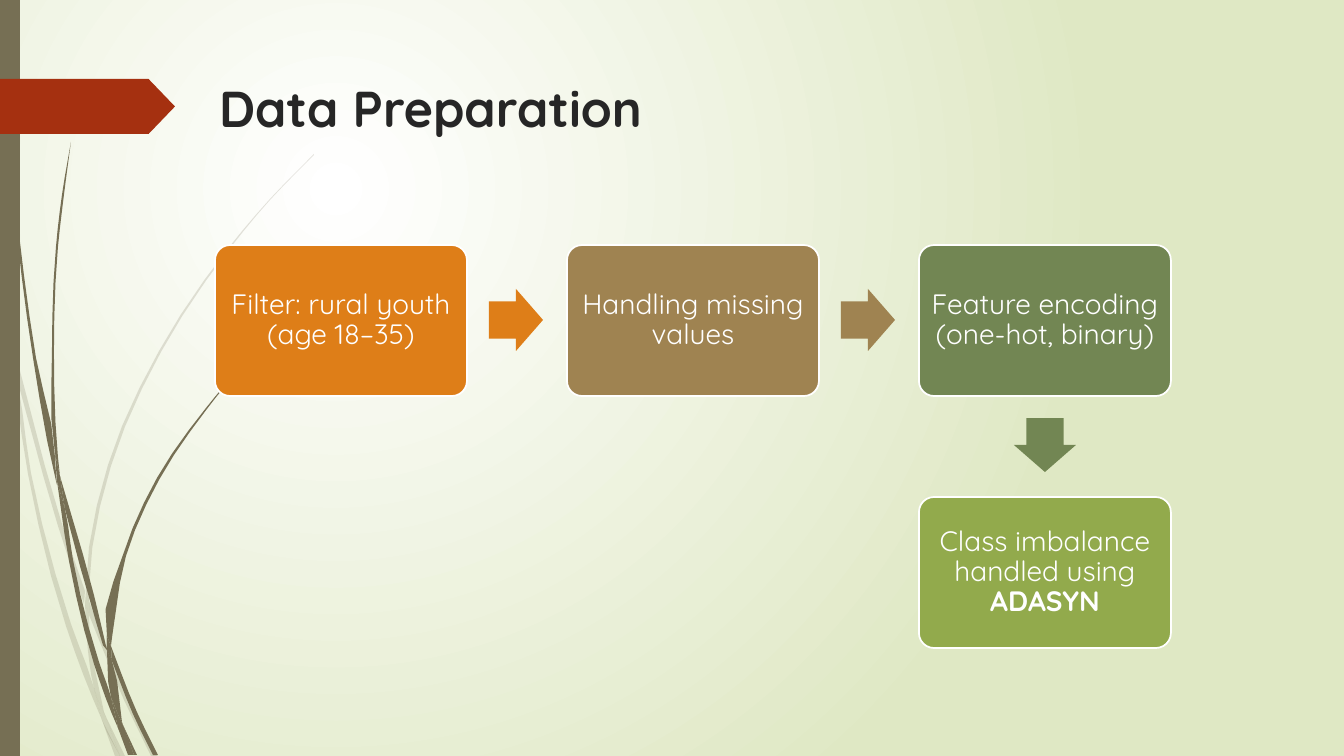
from dataclasses import dataclass

from lxml import etree
from pptx import Presentation
from pptx.dml.color import RGBColor
from pptx.enum.shapes import MSO_SHAPE
from pptx.enum.text import MSO_ANCHOR, MSO_AUTO_SIZE, PP_ALIGN
from pptx.oxml.ns import qn
from pptx.util import Emu, Pt

RECTANGLE = MSO_SHAPE.RECTANGLE
ROUNDED = MSO_SHAPE.ROUNDED_RECTANGLE
BANNER = MSO_SHAPE.PENTAGON
RIGHT_ARROW = MSO_SHAPE.RIGHT_ARROW
DOWN_ARROW = MSO_SHAPE.DOWN_ARROW
TOP, MIDDLE = MSO_ANCHOR.TOP, MSO_ANCHOR.MIDDLE
LEFT, CENTER = PP_ALIGN.LEFT, PP_ALIGN.CENTER
NO_AUTOFIT = MSO_AUTO_SIZE.NONE

EMU_PER_PX = 914400 / 100.8
TITLE_ONLY = 5
CURVE_STEPS = 3
WIDTH, HEIGHT = 1344, 756


@dataclass(frozen=True)
class Theme:
    font: str = "Quicksand"
    title_size: int = 36
    step_size: int = 20
    ink: str = "262626"
    white: str = "FFFFFF"
    backdrop: str = "DFE8C4"
    grass: str = "766F54"
    banner: str = "A53010"
    orange: str = "DE7E18"
    brown: str = "9F8351"
    green: str = "728653"
    lime: str = "92AA4C"


FAINT_BLADES = [
    ([(11, 353), (9, 325), (0, 284)], [(0, 301), (10, 347)]),
    ([(14, 348), (62, 524), (85, 591)], [(84, 604), (58, 526), (17, 379)]),
    ([(89, 601), (93, 612), (128, 698), (157, 756)], [(151, 756), (124, 700), (89, 615)]),
    ([(106, 717), (125, 756)], [(120, 756)]),
    ([(11, 353), (17, 379), (31, 473), (71, 624), (94, 688), (100, 713)],
     [(102, 720), (93, 699), (66, 626), (28, 474), (11, 353)]),
    ([(85, 604), (88, 651), (94, 688), (97, 698), (106, 717)],
     [(104, 712), (92, 651), (89, 615), (89, 613)]),
    ([(89, 601), (89, 589), (111, 466), (161, 352), (231, 247), (270, 200), (314, 155)],
     [(314, 154), (270, 199), (230, 246), (159, 351), (108, 465), (86, 589), (86, 591)]),
    ([(102, 720), (115, 756)], [(120, 756)]),
    ([(89, 613), (89, 601)], [(86, 591), (85, 604)]),
    ([(94, 688), (100, 713), (102, 720), (120, 756)], [(106, 717), (97, 698)]),
]
DARK_BLADES = [
    ([(3, 0), (4, 48), (7, 111), (17, 235), (33, 358), (56, 481), (57, 485)],
     [(55, 461), (55, 457), (36, 358), (19, 234), (8, 110), (5, 48), (4, 0)]),
    ([(60, 476), (94, 595), (107, 650)], [(107, 636), (107, 650), (89, 597), (65, 509)]),
    ([(111, 646), (114, 654), (137, 712), (158, 755)], [(153, 755), (133, 714), (112, 661)]),
    ([(57, 481), (65, 509), (73, 560), (99, 662), (111, 697), (117, 723)],
     [(118, 728), (112, 714), (94, 664), (69, 561), (57, 481)]),
    ([(60, 476), (58, 457), (54, 352), (58, 247), (64, 195), (71, 142)],
     [(71, 142), (62, 195), (56, 247), (52, 352), (55, 453), (60, 476)]),
    ([(123, 725), (137, 755)], [(134, 755)]),
    ([(55, 453), (60, 476)], [(65, 509), (57, 481)]),
    ([(112, 638), (126, 556), (159, 480), (207, 409), (233, 377), (263, 347)],
     [(262, 347), (233, 376), (206, 408), (157, 478), (123, 555), (107, 636), (111, 646)]),
    ([(118, 728), (128, 755)], [(132, 755)]),
    ([(107, 650), (111, 697), (117, 712), (123, 725)], [(122, 722), (112, 661), (110, 656)]),
    ([(107, 636), (111, 646)], [(112, 661), (107, 650)]),
    ([(111, 697), (117, 723), (118, 728), (131, 755)], [(134, 755), (123, 725), (117, 712)]),
]


def px(length):
    """Turn px into EMU."""
    return Emu(round(length * EMU_PER_PX))


def smooth(edge):
    """Return EMU points of a smooth curve through the knots of an edge."""
    knots = [complex(*knot) for knot in edge]
    gaps = [abs(b - a) for a, b in zip(knots, knots[1:])]
    slopes = [(b - a) / gap for a, b, gap in zip(knots, knots[1:], gaps)]
    inner = [(u * h + v * g) / (g + h)
             for u, v, g, h in zip(slopes, slopes[1:], gaps, gaps[1:])]
    tangents = slopes[:1] + inner + slopes[-1:]
    curve = []
    for a, b, gap, u, v in zip(knots, knots[1:], gaps, tangents, tangents[1:]):
        steps = CURVE_STEPS if len(knots) > 2 and gap > 30 else 1
        for t in (step / steps for step in range(steps)):
            bend = t * (1 - t) * gap * (u * (1 - t) - v * t)
            curve.append(a + (b - a) * t * t * (3 - 2 * t) + bend)
    return [(px(point.real), px(point.imag)) for point in [*curve, knots[-1]]]


class Painter:
    """Draws themed elements on the current slide."""

    def __init__(self, theme, slide):
        self.theme = theme
        self.slide = slide

    def background(self):
        """Fill the slide with a glow from its upper left."""
        fill = self.slide.background.fill
        fill.gradient()
        for stop, color in zip(fill.gradient_stops, (self.theme.white, self.theme.backdrop)):
            stop.color.rgb = RGBColor.from_string(color)
        gradient = self.slide.element.find(".//" + qn("a:gradFill"))
        glow = etree.Element(qn("a:path"), path="circle")
        etree.SubElement(glow, qn("a:fillToRect"), l="50000", t="50000", r="100000", b="100000")
        gradient.replace(gradient.find(qn("a:lin")), glow)

    def paint(self, shape, color, outline=None):
        """Give a shape its flat fill and optional outline."""
        shape.shadow.inherit = False
        shape.fill.solid()
        shape.fill.fore_color.rgb = RGBColor.from_string(color)
        if outline:
            shape.line.color.rgb = RGBColor.from_string(outline)
            shape.line.width = Pt(1.25)
        else:
            shape.line.fill.background()

    def blade(self, edges, opacity=100):
        """Draw a blade of grass between two curved edges."""
        start, *rest = [point for edge in edges for point in smooth(edge)]
        outline = self.slide.shapes.build_freeform(*start)
        outline.add_line_segments(rest, close=True)
        blade = outline.convert_to_shape()
        self.paint(blade, self.theme.grass)
        if opacity < 100:
            color = blade.element.spPr.find(".//" + qn("a:srgbClr"))
            etree.SubElement(color, qn("a:alpha"), val=str(opacity * 1000))

    def block(self, preset, box, color, adjustments=(), outline=None):
        """Add a filled preset shape."""
        shape = self.slide.shapes.add_shape(preset, *map(px, box))
        for index, value in enumerate(adjustments):
            shape.adjustments[index] = value
        self.paint(shape, color, outline)
        return shape

    def run(self, paragraph, text, size, color, bold=False):
        """Append one formatted run."""
        run = paragraph.add_run()
        run.text = text
        run.font.name = self.theme.font
        run.font.size = Pt(size)
        run.font.bold = bold
        run.font.color.rgb = RGBColor.from_string(color)

    def title(self, text, box):
        """Place and format the slide title."""
        heading = self.slide.shapes.title
        heading.left, heading.top, heading.width, heading.height = map(px, box)
        frame = heading.text_frame
        frame.auto_size = NO_AUTOFIT
        frame.vertical_anchor = TOP
        frame.paragraphs[0].alignment = LEFT
        self.run(frame.paragraphs[0], text, self.theme.title_size, self.theme.ink, True)

    def step(self, box, color, text, strong):
        """Add a rounded process step with centred text."""
        frame = self.block(ROUNDED, box, color, (0.1,), self.theme.white).text_frame
        frame.word_wrap = True
        frame.vertical_anchor = MIDDLE
        frame.margin_left = frame.margin_right = frame.margin_top = frame.margin_bottom = px(8)
        paragraph = frame.paragraphs[0]
        paragraph.alignment = CENTER
        paragraph.line_spacing = 0.9
        self.run(paragraph, text, self.theme.step_size, self.theme.white)
        if strong:
            self.run(paragraph, strong, self.theme.step_size, self.theme.white, True)


def main():
    """Build and save the data preparation slide."""
    deck = Presentation()
    deck.slide_width, deck.slide_height = px(WIDTH), px(HEIGHT)
    theme = Theme()
    painter = Painter(theme, deck.slides.add_slide(deck.slide_layouts[TITLE_ONLY]))
    painter.background()
    for blades, opacity in ((FAINT_BLADES, 20), (DARK_BLADES, 100)):
        for edges in blades:
            painter.blade(edges, opacity)
    painter.block(RECTANGLE, (0, 0, 20, HEIGHT), theme.grass)
    painter.block(BANNER, (0, 79, 175, 55), theme.banner, (0.48,))
    painter.title("Data Preparation", (209, 72, 1041, 86))

    left, top, width, height = 215, 245, 252, 151
    column_step, row_step = 352, 252
    gap, length, breadth = 22, 54, 62
    steps = [
        (0, 0, theme.orange, "Filter: rural youth (age 18–35)", ""),
        (1, 0, theme.brown, "Handling missing values", ""),
        (2, 0, theme.green, "Feature encoding (one-hot, binary)", ""),
        (2, 1, theme.lime, "Class imbalance handled using ", "ADASYN"),
    ]
    for (column, row, color, text, strong), following in zip(steps, [*steps[1:], None]):
        x, y = left + column * column_step, top + row * row_step
        painter.step((x, y, width, height), color, text, strong)
        if following and following[1] == row:
            arrow = (x + width + gap, y + (height - breadth) // 2, length, breadth)
            painter.block(RIGHT_ARROW, arrow, color, (0.6, 0.5))
        elif following:
            arrow = (x + (width - breadth) // 2, y + height + gap, breadth, length)
            painter.block(DOWN_ARROW, arrow, color, (0.6, 0.5))
    deck.save("out.pptx")


if __name__ == "__main__":
    main()
